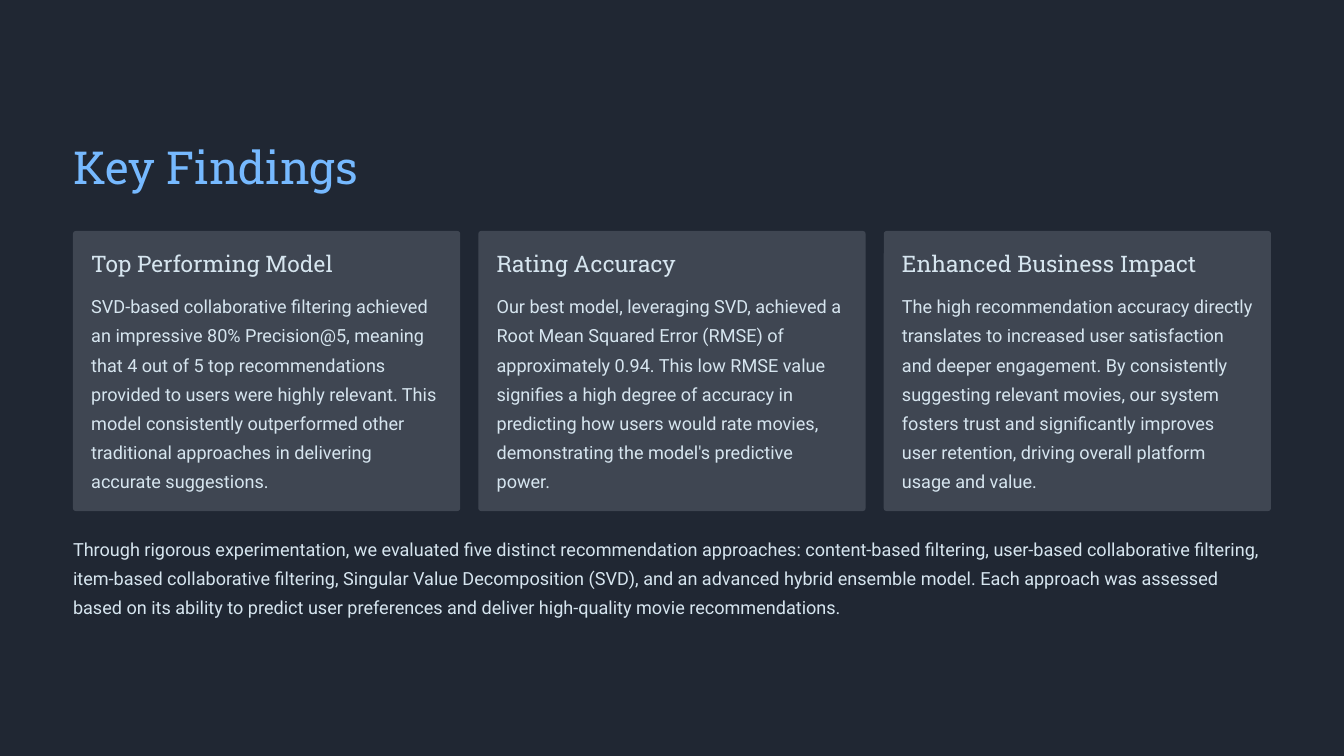
from dataclasses import dataclass
from pptx import Presentation
from pptx.dml.color import RGBColor
from pptx.enum.shapes import MSO_SHAPE
from pptx.enum.text import MSO_ANCHOR, MSO_AUTO_SIZE, PP_ALIGN
from pptx.util import Pt

TITLE = "Key Findings"
CARDS = [
    ("Top Performing Model",
     "SVD-based collaborative filtering achieved an impressive 80% Precision@5, meaning "
     "that 4 out of 5 top recommendations provided to users were highly relevant. This "
     "model consistently outperformed other traditional approaches in delivering "
     "accurate suggestions."),
    ("Rating Accuracy",
     "Our best model, leveraging SVD, achieved a Root Mean Squared Error (RMSE) of "
     "approximately 0.94. This low RMSE value signifies a high degree of accuracy in "
     "predicting how users would rate movies, demonstrating the model's predictive power."),
    ("Enhanced Business Impact",
     "The high recommendation accuracy directly translates to increased user satisfaction "
     "and deeper engagement. By consistently suggesting relevant movies, our system "
     "fosters trust and significantly improves user retention, driving overall platform "
     "usage and value."),
]
SUMMARY = (
    "Through rigorous experimentation, we evaluated five distinct recommendation "
    "approaches: content-based filtering, user-based collaborative filtering, item-based "
    "collaborative filtering, Singular Value Decomposition (SVD), and an advanced hybrid "
    "ensemble model. Each approach was assessed based on its ability to predict user "
    "preferences and deliver high-quality movie recommendations."
)


@dataclass(frozen=True)
class Theme:
    back: str = "202733"
    card: str = "3F4652"
    accent: str = "76B9FF"
    text: str = "D6E5EF"
    title: tuple = ("Roboto Slab", 39, 48.5)
    heading: tuple = ("Roboto Slab", 19.5, 24)
    body: tuple = ("Roboto", 15.5, 25)


T = Theme()
W, H = 1152, 648
MARGIN = 62.6
CONTENT_W = W - 2 * MARGIN
GAP = 15.6
CARD_W = (CONTENT_W - GAP * (len(CARDS) - 1)) / len(CARDS)
CARD_TOP, CARD_H = 198, 240
PAD = 15.6


def place(sp, x, y, w, h):
    sp.left, sp.top, sp.width, sp.height = Pt(x), Pt(y), Pt(w), Pt(h)


def write(sp, text, style, color):
    name, size, leading = style
    tf = sp.text_frame
    tf.text = text
    tf.word_wrap = True
    tf.auto_size = MSO_AUTO_SIZE.NONE
    tf.vertical_anchor = MSO_ANCHOR.TOP
    tf.margin_left = tf.margin_right = tf.margin_top = tf.margin_bottom = 0
    p = tf.paragraphs[0]
    p.alignment = PP_ALIGN.LEFT
    p.line_spacing = Pt(leading)
    p.space_before = Pt(0)
    font = p.runs[0].font
    font.name, font.size = name, Pt(size)
    font.color.rgb = RGBColor.from_string(color)


def add_text(s, text, style, x, y, w, h):
    sp = s.shapes.add_textbox(Pt(x), Pt(y), Pt(w), Pt(h))
    write(sp, text, style, T.text)


def add_card(s, x, heading, body):
    sp = s.shapes.add_shape(MSO_SHAPE.ROUNDED_RECTANGLE,
                            Pt(x), Pt(CARD_TOP), Pt(CARD_W), Pt(CARD_H))
    sp.adjustments[0] = 0.01
    sp.shadow.inherit = False
    sp.fill.solid()
    sp.fill.fore_color.rgb = RGBColor.from_string(T.card)
    sp.line.fill.background()
    inner = CARD_W - 2 * PAD
    add_text(s, heading, T.heading, x + PAD, 213.4, inner, 24.4)
    add_text(s, body, T.body, x + PAD, 247, inner, 175)


def main():
    prs = Presentation()
    prs.slide_width, prs.slide_height = Pt(W), Pt(H)
    s = prs.slides.add_slide(prs.slide_layouts[5])
    s.background.fill.solid()
    s.background.fill.fore_color.rgb = RGBColor.from_string(T.back)
    place(s.shapes.title, MARGIN, 117.4, CONTENT_W, 49)
    write(s.shapes.title, TITLE, T.title, T.accent)
    for i, (heading, body) in enumerate(CARDS):
        add_card(s, MARGIN + i * (CARD_W + GAP), heading, body)
    add_text(s, SUMMARY, T.body, MARGIN, 455, CONTENT_W, 75)
    prs.save("out.pptx")


if __name__ == "__main__":
    main()
